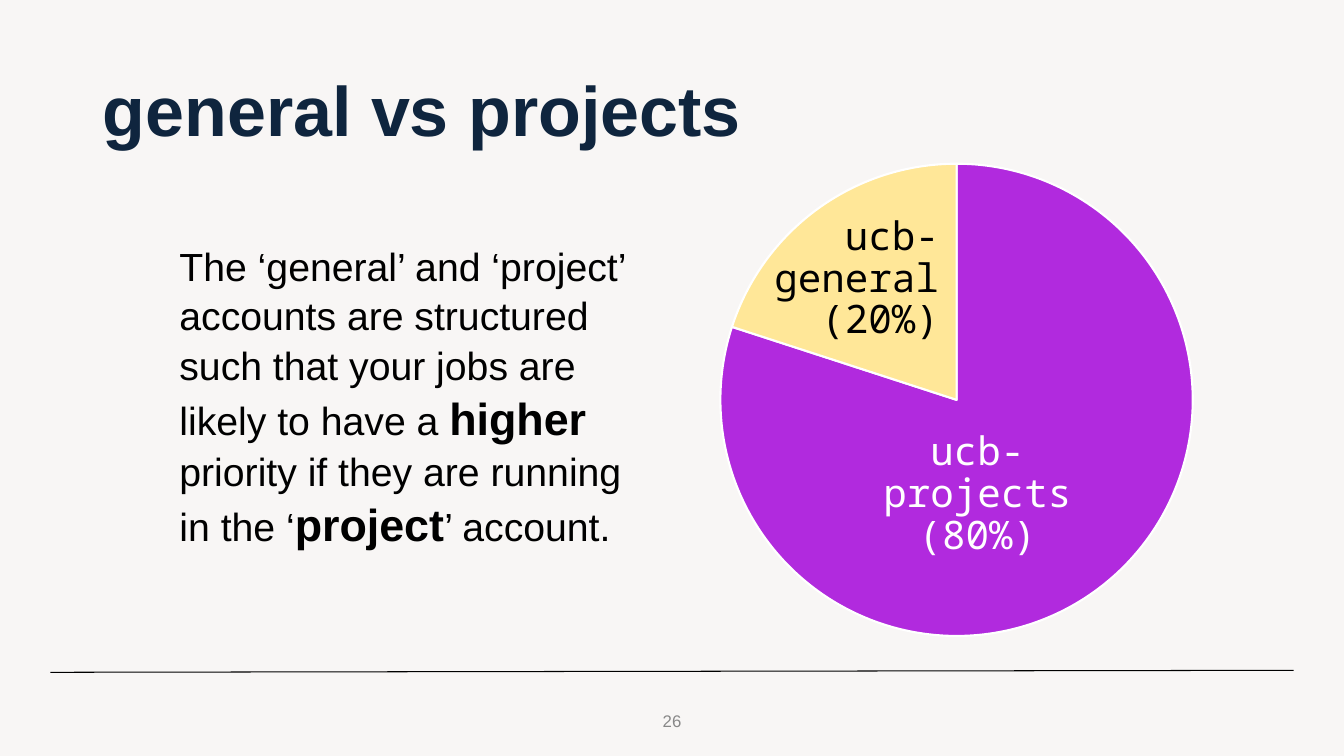
from lxml.etree import SubElement
from pptx import Presentation
from pptx.chart.data import CategoryChartData
from pptx.dml.color import RGBColor
from pptx.enum.chart import XL_CHART_TYPE as ChartType
from pptx.enum.shapes import MSO_CONNECTOR as Connector
from pptx.enum.text import MSO_ANCHOR as Anchor, MSO_AUTO_SIZE as AutoSize, PP_ALIGN as Align
from pptx.oxml import parse_xml
from pptx.oxml.ns import nsdecls, qn
from pptx.util import Inches, Pt

WIDTH, HEIGHT = Inches(13.33), Inches(7.5)
MONO = "Noto Sans Mono"


def color(hex_code):
    return RGBColor.from_string(hex_code)


def area(left, top, width, height):
    return [round(WIDTH * left / 100), round(HEIGHT * top / 100),
            round(WIDTH * width / 100), round(HEIGHT * height / 100)]


def place(shape, box):
    shape.left, shape.top, shape.width, shape.height = box


def format_font(font, size, hex_code, name="Arial", bold=False):
    font.name, font.size, font.bold = name, Pt(size), bold
    font.color.rgb = color(hex_code)


def set_frame(shape, anchor=Anchor.TOP):
    frame = shape.text_frame
    frame.word_wrap = True
    frame.auto_size = AutoSize.NONE
    frame.vertical_anchor = anchor
    return frame


def add_title(slide, text, box):
    place(slide.shapes.title, box)
    frame = set_frame(slide.shapes.title, Anchor.MIDDLE)
    frame.text = text
    paragraph = frame.paragraphs[0]
    paragraph.alignment = Align.LEFT
    paragraph.line_spacing = 0.9
    format_font(paragraph.runs[0].font, 50, "0F253E", bold=True)


def add_body(slide, pieces, box):
    body = slide.placeholders[1]
    place(body, box)
    paragraph = set_frame(body).paragraphs[0]
    properties = paragraph._p.get_or_add_pPr()
    properties.set("marL", "0")
    properties.set("indent", "0")
    SubElement(properties, qn("a:buNone"))
    paragraph.space_before = Pt(0)
    paragraph.line_spacing = 1.05
    for text, strong in pieces:
        run = paragraph.add_run()
        run.text = text
        format_font(run.font, 32 if strong else 28, "000000", bold=strong)


def add_label(slide, text, box, size, hex_code, name="Arial", align=Align.CENTER,
              anchor=Anchor.TOP, spacing=1.0):
    frame = set_frame(slide.shapes.add_textbox(*box), anchor)
    frame.text = text
    paragraph = frame.paragraphs[0]
    paragraph.alignment = align
    paragraph.line_spacing = spacing
    format_font(paragraph.runs[0].font, size, hex_code, name)


def add_pie(slide, values, fills, box):
    data = CategoryChartData()
    data.categories = [str(number + 1) for number in range(len(values))]
    data.add_series("Series 1", values)
    chart = slide.shapes.add_chart(ChartType.PIE, *box, data).chart
    chart.has_legend = chart.has_title = False
    format_font(chart.font, 10, "000000")
    plot = chart.plots[0]
    plot.vary_by_categories = True
    for index, fill in enumerate(fills):
        point = plot.series[0].points[index].format
        point.fill.solid()
        point.fill.fore_color.rgb = color(fill)
        point.line.color.rgb = color("FFFFFF")
        point.line.width = Pt(1.5)
    plot_area = chart._chartSpace.chart.plotArea
    for layout in plot_area.findall(qn("c:layout")):
        plot_area.remove(layout)
    settings = {"layoutTarget": "inner", "xMode": "edge", "yMode": "edge",
                "x": 0.15, "y": 0, "w": 0.66, "h": 0.99}
    items = "".join(f'<c:{key} val="{value}"/>' for key, value in settings.items())
    plot_area.insert(0, parse_xml(
        f'<c:layout {nsdecls("c")}><c:manualLayout>{items}</c:manualLayout></c:layout>'))


def add_rule(slide, start, end):
    line = slide.shapes.add_connector(Connector.STRAIGHT, *area(*start, *end))
    line.line.color.rgb = color("000000")
    line.line.width = Pt(0.75)
    SubElement(line._element.spPr, qn("a:effectLst"))


def main():
    presentation = Presentation()
    presentation.slide_width, presentation.slide_height = WIDTH, HEIGHT
    slide = presentation.slides.add_slide(presentation.slide_layouts[1])
    slide.background.fill.solid()
    slide.background.fill.fore_color.rgb = color("F8F6F5")

    add_rule(slide, (3.75, 88.93), (96.25, 88.67))
    add_pie(slide, [80, 20], ["B12ADE", "FFE798"], area(45.61, 16.53, 53.26, 73.47))
    add_label(slide, "ucb-projects (80%)", area(61.89, 56.53, 21.68, 20), 28, "FFFFFF",
              MONO, spacing=0.89)
    add_label(slide, "ucb-general (20%)", area(54.16, 28, 16.43, 20.13), 28, "000000",
              MONO, Align.RIGHT, spacing=0.89)
    add_body(slide, [
        ("The ‘general’ and ‘project’ accounts are structured such that your jobs "
         "are likely to have a ", False),
        ("higher", True),
        (" priority if they are running in the ‘", False),
        ("project", True),
        ("’ account.", False),
    ], area(12.6, 31.07, 35.71, 47.07))
    add_title(slide, "general vs projects", area(6.9, 5.33, 86.27, 19.33))
    add_label(slide, "26", area(47.19, 92.67, 5.63, 5.33), 12, "888888",
              anchor=Anchor.MIDDLE)
    presentation.save("out.pptx")


if __name__ == "__main__":
    main()
